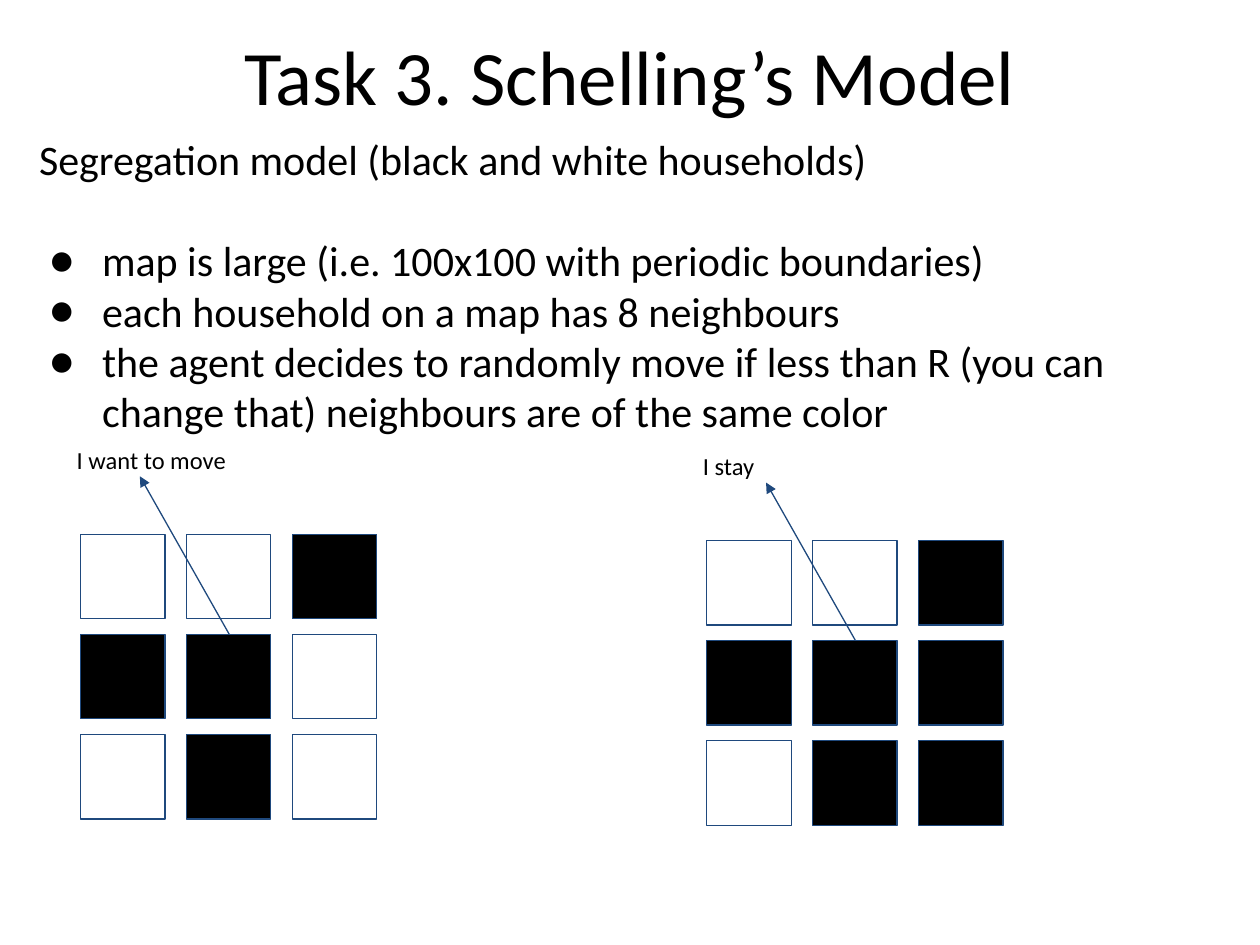
from lxml.etree import SubElement
from pptx import Presentation
from pptx.dml.color import RGBColor
from pptx.enum.shapes import MSO_CONNECTOR as Connector, MSO_SHAPE as Shape
from pptx.enum.text import MSO_ANCHOR as Anchor, MSO_AUTO_SIZE as AutoSize, PP_ALIGN as Align
from pptx.oxml.ns import qn
from pptx.util import Inches, Pt

COLORS = {"black": "000000", "white": "FFFFFF", "outline": "1F497D"}
FONT = "Calibri"
CELL = 0.67
COLUMN_STEP, ROW_STEP = 0.84, 0.795

INTRO = "Segregation model (black and white households)"
RULES = [
    "map is large (i.e. 100x100 with periodic boundaries)",
    "each household on a map has 8 neighbours",
    "the agent decides to randomly move if less than R (you can change that)"
    " neighbours are of the same color",
]
# label, left and top of the grid, rows of households (B black, W white)
NEIGHBOURHOODS = [
    ("I want to move", 0.64, 4.24, ["WWB", "BBW", "WBW"]),
    ("I stay", 5.61, 4.29, ["WWB", "BBB", "WBB"]),
]


def set_frame(shape, box, margin, anchor=Anchor.TOP):
    """Place a text shape and return its text frame with fixed margins."""
    shape.left, shape.top, shape.width, shape.height = map(Inches, box)
    frame = shape.text_frame
    frame.word_wrap = True
    frame.auto_size = AutoSize.NONE
    frame.vertical_anchor = anchor
    frame.margin_left = frame.margin_right = Inches(0.1)
    frame.margin_top = frame.margin_bottom = Inches(margin)
    return frame


def add_run(paragraph, text, size):
    run = paragraph.add_run()
    run.text = text
    run.font.name = FONT
    run.font.size = Pt(size)
    run.font.color.rgb = RGBColor.from_string(COLORS["black"])


presentation = Presentation()
presentation.slide_width, presentation.slide_height = Inches(10), Inches(7.5)
slide = presentation.slides.add_slide(presentation.slide_layouts[1])
shapes = slide.shapes

# Title
frame = set_frame(shapes.title, (0.5, -0.03, 9, 1.25), 0.05, Anchor.MIDDLE)
frame.paragraphs[0].alignment = Align.CENTER
add_run(frame.paragraphs[0], "Task 3. Schelling’s Model", 44)

# Introduction and rules
frame = set_frame(slide.placeholders[1], (0.21, 0.96, 9.13, 0.92), 0.1)
for index, text in enumerate([INTRO, *RULES]):
    paragraph = frame.paragraphs[0] if index == 0 else frame.add_paragraph()
    paragraph.space_before = Pt(29 if index == 1 else 0)
    properties = paragraph._p.get_or_add_pPr()
    if index == 0:
        properties.set("marL", "0")
        properties.set("indent", "0")
        SubElement(properties, qn("a:buNone"))
    else:
        properties.set("marL", str(Inches(0.5)))
        properties.set("indent", str(Inches(-0.42)))
        bullet_color = SubElement(properties, qn("a:buClr"))
        SubElement(bullet_color, qn("a:srgbClr"), val=COLORS["black"])
        SubElement(properties, qn("a:buFont"), typeface=FONT)
        SubElement(properties, qn("a:buChar"), char="●")
    add_run(paragraph, text, 24)

# Neighbourhood grids, each with an arrow from the central agent to its decision
for label, left, top, rows in NEIGHBOURHOODS:
    for row, households in enumerate(rows):
        for column, household in enumerate(households):
            cell = shapes.add_shape(
                Shape.RECTANGLE,
                Inches(left + column * COLUMN_STEP), Inches(top + row * ROW_STEP),
                Inches(CELL), Inches(CELL))
            cell.shadow.inherit = False
            cell.fill.solid()
            fill = COLORS["black" if household == "B" else "white"]
            cell.fill.fore_color.rgb = RGBColor.from_string(fill)
            cell.line.color.rgb = RGBColor.from_string(COLORS["outline"])
            cell.line.width = Pt(0.75)

    arrow = shapes.add_connector(
        Connector.STRAIGHT,
        Inches(left + 1.18), Inches(top + ROW_STEP),
        Inches(left + 0.47), Inches(top - 0.46))
    arrow.line.color.rgb = RGBColor.from_string(COLORS["outline"])
    arrow.line.width = Pt(0.75)
    SubElement(arrow.line._get_or_add_ln(), qn("a:tailEnd"), type="triangle")
    SubElement(arrow._element.spPr, qn("a:effectLst"))

    text_box = shapes.add_textbox(0, 0, 0, 0)
    frame = set_frame(text_box, (left - 0.13, top - 0.81, 4.5, 0.94), 0.1)
    add_run(frame.paragraphs[0], label, 14)

presentation.save("out.pptx")
